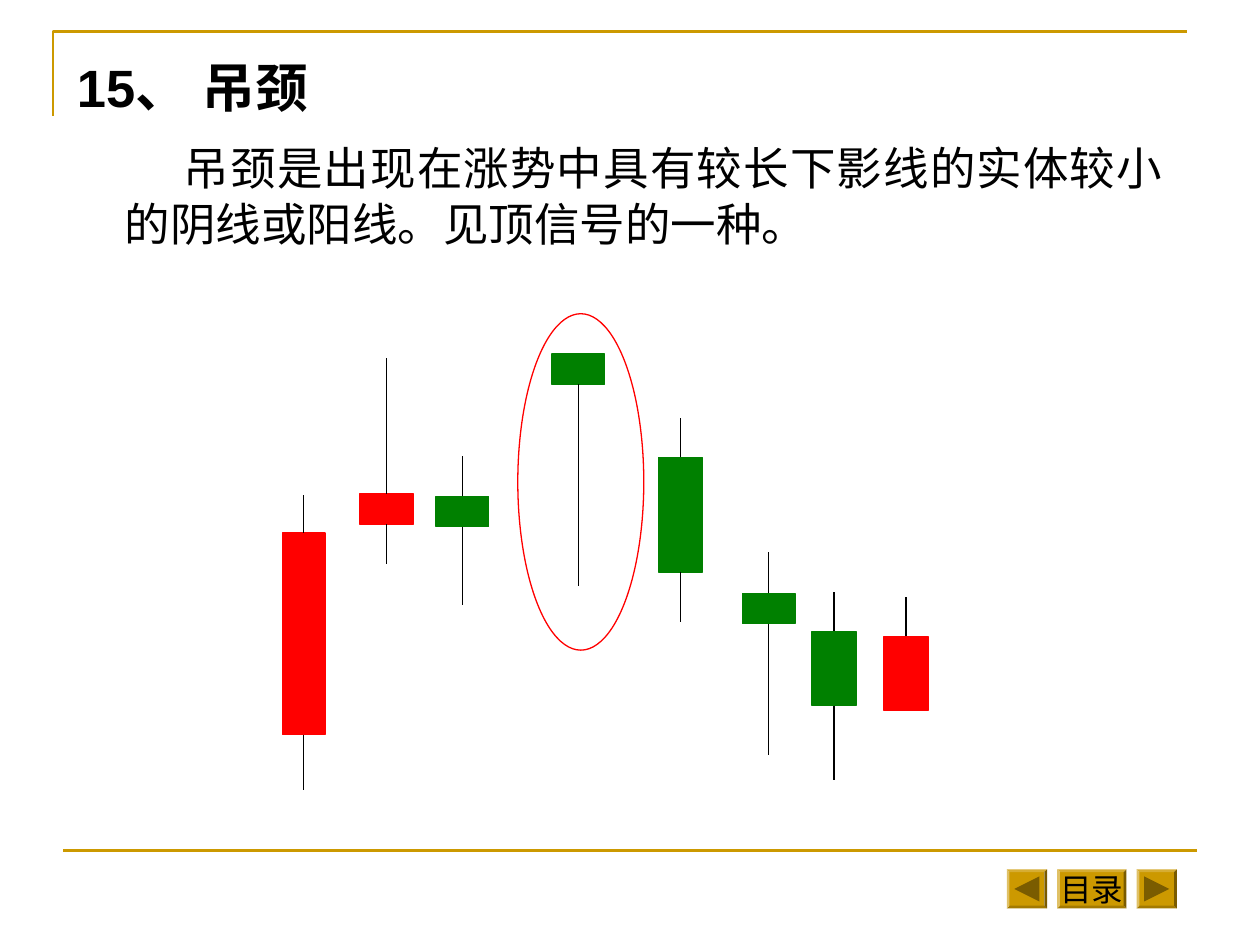
from pptx import Presentation
from pptx.dml.color import RGBColor
from pptx.enum.shapes import MSO_CONNECTOR, MSO_SHAPE
from pptx.enum.text import MSO_ANCHOR, PP_ALIGN
from pptx.oxml.ns import qn
from pptx.util import Inches, Pt
from lxml import etree

COLORS = {"gold": "CC9900", "dark": "7A5C00", "red": "FF0000",
          "green": "008000", "black": "000000", "white": "FFFFFF"}
FONT = "Arial"
TOP, BOTTOM = 0, 2  # connection sites of a rectangle

# centre x, top, width, height, colour, high, low (None: no shadow line)
CANDLES = [
    (2.41, 4.23, 0.34, 1.6, "red", 3.93, 6.27),
    (3.07, 3.92, 0.43, 0.24, "red", 2.84, 4.48),
    (3.67, 3.94, 0.42, 0.24, "green", 3.62, 4.8),
    (4.59, 2.81, 0.42, 0.24, "green", None, 4.65),
    (5.4, 3.63, 0.35, 0.91, "green", 3.32, 4.94),
    (6.1, 4.71, 0.42, 0.24, "green", 4.38, 5.99),
    (6.62, 5.01, 0.35, 0.59, "green", 4.7, 6.19),
    (7.19, 5.05, 0.35, 0.59, "red", 4.74, None),
]


def tint(name):
    return RGBColor.from_string(COLORS[name])


def write(frame, text, size=18, bold=False, align=PP_ALIGN.LEFT,
          anchor=MSO_ANCHOR.TOP, wrap=True, line=None, indent=0, tab=None):
    frame.word_wrap = wrap
    frame.vertical_anchor = anchor
    para = frame.paragraphs[0]
    para.alignment = align
    para.space_before = Pt(0)
    if line:
        para.line_spacing = Pt(line)
    props = para._p.get_or_add_pPr()
    props.set("marL", "0")
    props.set("indent", str(Inches(indent)))
    if tab:
        stops = etree.SubElement(props, qn("a:tabLst"))
        etree.SubElement(stops, qn("a:tab"), pos=str(Inches(tab)), algn="l")
    run = para.add_run()
    run.text = text
    font = run.font
    font.name, font.size, font.bold = FONT, Pt(size), bold
    font.color.rgb = tint("black")


class Deck:
    def __init__(self):
        self.show = Presentation()
        self.show.slide_width = Inches(10)
        self.show.slide_height = Inches(7.5)
        self.slide = self.show.slides.add_slide(self.show.slide_layouts[5])
        self.shapes = self.slide.shapes

    def title(self, text, x, y, w, h, **style):
        box = self.shapes.title
        box.left, box.top = Inches(x), Inches(y)
        box.width, box.height = Inches(w), Inches(h)
        write(box.text_frame, text, **style)

    def text(self, text, x, y, w, h, **style):
        box = self.shapes.add_textbox(*map(Inches, (x, y, w, h)))
        write(box.text_frame, text, **style)

    def shape(self, kind, x, y, w, h, fill, edge=None):
        item = self.shapes.add_shape(kind, *map(Inches, (x, y, w, h)))
        item.shadow.inherit = False
        item.fill.solid()
        item.fill.fore_color.rgb = tint(fill)
        if edge:
            item.line.color.rgb = tint(edge)
            item.line.width = Pt(0.75)
        else:
            item.line.fill.background()
        return item

    def line(self, x1, y1, x2, y2, color="black", width=0.75):
        item = self.shapes.add_connector(
            MSO_CONNECTOR.STRAIGHT, *map(Inches, (x1, y1, x2, y2)))
        item.line.color.rgb = tint(color)
        item.line.width = Pt(width)
        etree.SubElement(item._element.spPr, qn("a:effectLst"))
        return item

    def frame(self, start, *points):
        path = self.shapes.build_freeform(*map(Inches, start))
        path.add_line_segments(
            [(Inches(x), Inches(y)) for x, y in points], close=False)
        item = path.convert_to_shape()
        item.shadow.inherit = False
        item.fill.background()
        item.line.color.rgb = tint("gold")
        item.line.width = Pt(1.5)

    def candle(self, x, top, w, h, color, high, low):
        body = self.shape(MSO_SHAPE.RECTANGLE, x - w / 2, top, w, h,
                          color, color)
        for end, edge, site in ((high, top, TOP), (low, top + h, BOTTOM)):
            if end is not None:
                self.line(x, edge, x, end).begin_connect(body, site)

    def button(self, x, w, label=None, turn=0):
        y, h, side = 6.9, 0.31, 0.2
        face = self.shape(MSO_SHAPE.BEVEL, x, y, w, h, "gold")
        face.adjustments[0] = 0.07
        if label:
            write(face.text_frame, label, align=PP_ALIGN.CENTER,
                  anchor=MSO_ANCHOR.MIDDLE, wrap=False)
        else:
            arrow = self.shape(MSO_SHAPE.ISOSCELES_TRIANGLE,
                               x + (w - side) / 2, y + (h - side) / 2,
                               side, side, "dark")
            arrow.rotation = turn


def main():
    deck = Deck()

    # Border lines
    deck.frame((0.42, 0.92), (0.42, 0.25), (9.42, 0.25))
    deck.line(0.5, 6.75, 9.5, 6.75, "gold", 1.5)

    # Navigation buttons
    deck.button(7.99, 0.32, turn=270)
    deck.button(8.39, 0.55, label="目录")
    deck.button(9.02, 0.32, turn=90)

    # Heading and definition
    deck.title("15、\t吊颈", 0.51, 0.39, 8.82, 0.6,
               size=30, bold=True, line=36, tab=1.2)
    deck.text("吊颈是出现在涨势中具有较长下影线的实体较小的阴线或阳线。见顶信号的一种。",
              0.89, 1.05, 8.44, 1, size=26, line=32, indent=0.47,
              align=PP_ALIGN.JUSTIFY)

    # Candlestick drawing, with the hanging man circled
    deck.shape(MSO_SHAPE.OVAL, 4.11, 2.49, 1, 2.67, "white", "red")
    for candle in CANDLES:
        deck.candle(*candle)

    deck.show.save("out.pptx")


if __name__ == "__main__":
    main()
